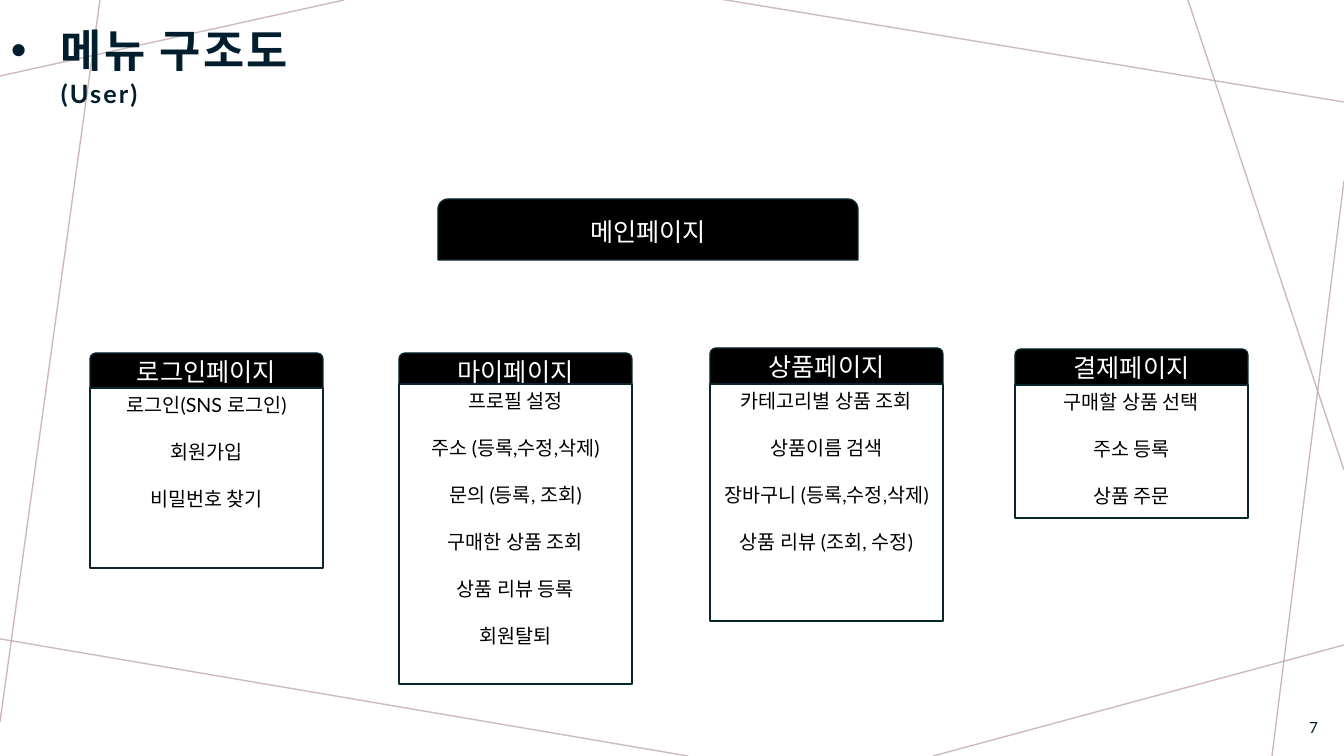
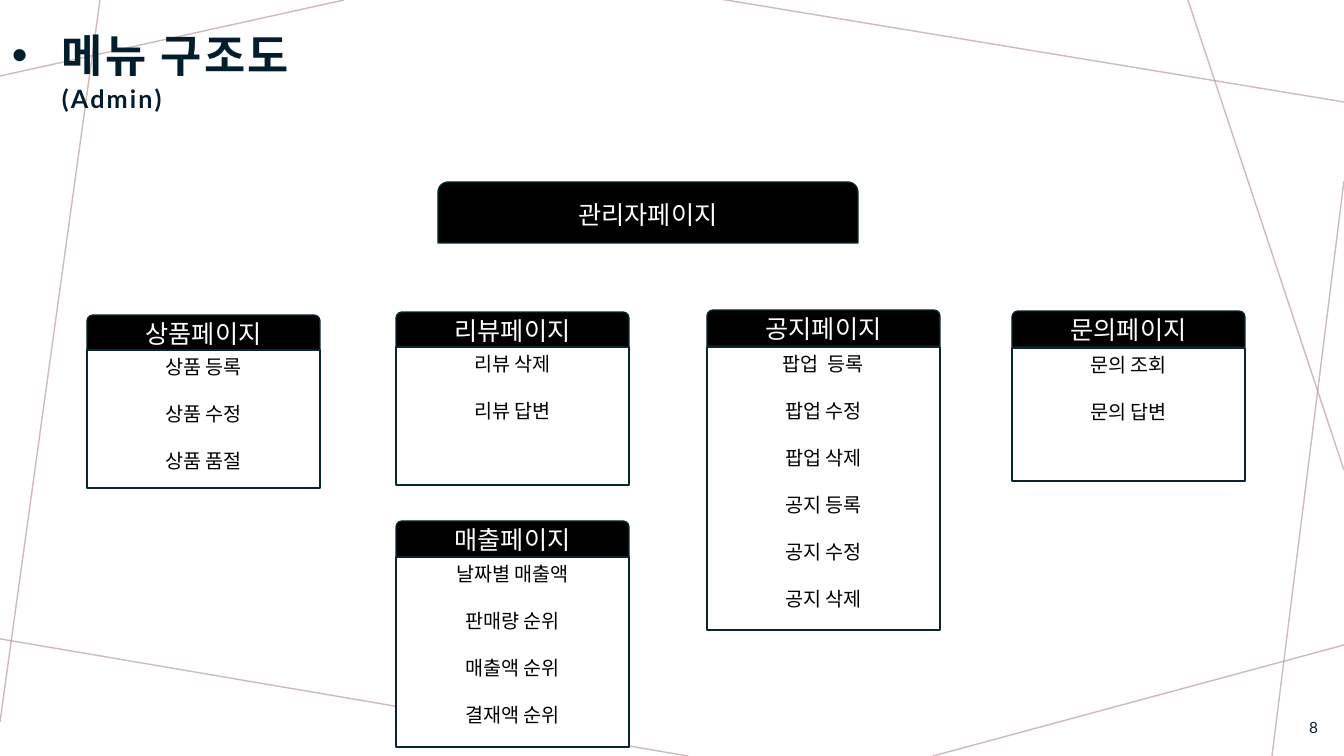
"""Build the two menu structure slides, one for users and one for administrators."""
from lxml import etree
from pptx import Presentation
from pptx.dml.color import RGBColor
from pptx.enum.shapes import MSO_CONNECTOR, MSO_SHAPE
from pptx.enum.text import MSO_ANCHOR, PP_ALIGN
from pptx.oxml.ns import qn
from pptx.util import Pt

SLIDE_WIDTH, SLIDE_HEIGHT = 1344, 756
EMU_PER_PX = 12192000 / SLIDE_WIDTH

NAVY = RGBColor(0x00, 0x1E, 0x2E)
OUTLINE = RGBColor(0x09, 0x26, 0x2D)
MAUVE = RGBColor(0xBA, 0x9C, 0xA0)
BLACK = RGBColor(0x00, 0x00, 0x00)
WHITE = RGBColor(0xFF, 0xFF, 0xFF)
FONT = "Lato"

TAB = MSO_SHAPE.ROUND_2_SAME_RECTANGLE
RECTANGLE = MSO_SHAPE.RECTANGLE
STRAIGHT = MSO_CONNECTOR.STRAIGHT
MIDDLE, TOP = MSO_ANCHOR.MIDDLE, MSO_ANCHOR.TOP
CENTER, RIGHT = PP_ALIGN.CENTER, PP_ALIGN.RIGHT

COLUMNS = (90, 399, 710, 1015)
PANEL_WIDTH, HEADER_HEIGHT = 233, 36
MAIN_LEFT, MAIN_WIDTH, MAIN_HEIGHT = 438, 420, 61
PAGE_NUMBER_BOX = (1279, 706, 51, 40)
TITLE_INDENT = 50
BACKGROUND_LINES = (
    (344, 0, 0, 76),
    (100, 0, 0, 722),
    (688, 756, -5, 638),
    (1344, 645, 933, 756),
    (1344, 181, 1272, 756),
    (1344, 470, 1188, 0),
    (1344, 102, 720, -1),
)

# Each panel: column, header top, body top, body height, heading, items.
SLIDES = (
    {
        "title": ("메뉴 구조도", "(User)"),
        "title_box": (-1, 20, 414, 87),
        "number": 7,
        "main": ("메인페이지", 199),
        "shift": 0,
        "panels": (
            (0, 353, 388, 180, "로그인페이지",
             ("로그인(SNS 로그인)", "회원가입", "비밀번호 찾기")),
            (1, 353, 384, 300, "마이페이지",
             ("프로필 설정", "주소 (등록,수정,삭제)", "문의 (등록, 조회)",
              "구매한 상품 조회", "상품 리뷰 등록", "회원탈퇴")),
            (2, 348, 384, 237, "상품페이지",
             ("카테고리별 상품 조회", "상품이름 검색",
              "장바구니 (등록,수정,삭제)", "상품 리뷰 (조회, 수정)")),
            (3, 349, 385, 133, "결제페이지",
             ("구매할 상품 선택", "주소 등록", "상품 주문")),
        ),
    },
    {
        "title": ("메뉴 구조도", "(Admin)"),
        "title_box": (0, 23, 415, 90),
        "number": 8,
        "main": ("관리자페이지", 182),
        "shift": -3,
        "panels": (
            (0, 315, 350, 138, "상품페이지",
             ("상품 등록", "상품 수정", "상품 품절")),
            (1, 312, 347, 138, "리뷰페이지",
             ("리뷰 삭제", "리뷰 답변")),
            (2, 310, 347, 283, "공지페이지",
             ("팝업  등록", "팝업 수정", "팝업 삭제",
              "공지 등록", "공지 수정", "공지 삭제")),
            (3, 311, 348, 133, "문의페이지",
             ("문의 조회", "문의 답변")),
            (1, 521, 557, 190, "매출페이지",
             ("날짜별 매출액", "판매량 순위", "매출액 순위", "결재액 순위")),
        ),
    },
)


def px(length):
    """Turn a length in px into EMU."""
    return round(length * EMU_PER_PX)


def style_run(run, size, color, bold=False):
    """Set the font of one run."""
    run.font.name = FONT
    run.font.size = Pt(size)
    run.font.bold = bold
    run.font.color.rgb = color


def add_background(slide):
    """Draw the crossing thin lines behind the content."""
    for ends in BACKGROUND_LINES:
        connector = slide.shapes.add_connector(STRAIGHT, *map(px, ends))
        connector.line.color.rgb = MAUVE
        connector.line.width = Pt(1)
        properties = connector._element.spPr
        color = properties.find(".//" + qn("a:srgbClr"))
        etree.SubElement(color, qn("a:alpha"), val="70000")
        etree.SubElement(properties, qn("a:effectLst"))


def add_text_box(slide, box):
    """Add a wrapping, vertically centred text box and return its frame."""
    frame = slide.shapes.add_textbox(*map(px, box)).text_frame
    frame.word_wrap = True
    frame.vertical_anchor = MIDDLE
    frame.margin_left = frame.margin_right = frame.margin_top = px(12)
    frame.margin_bottom = px(10)
    return frame


def add_title(slide, lines, box):
    """Write the bulleted title with its smaller second line."""
    paragraph = add_text_box(slide, box).paragraphs[0]
    paragraph.text = "\v".join(lines)
    properties = paragraph._p.get_or_add_pPr()
    properties.set("marL", str(px(TITLE_INDENT)))
    properties.set("indent", str(-px(TITLE_INDENT)))
    etree.SubElement(properties, qn("a:buFont"), typeface="Arial")
    etree.SubElement(properties, qn("a:buChar"), char="•")
    paragraph.line_spacing = 1.05
    for run, size in zip(paragraph.runs, (32, 18)):
        style_run(run, size, NAVY, bold=True)
        run._r.get_or_add_rPr().set("spc", "150")


def add_page_number(slide, number):
    """Write the page number in the lower right corner."""
    paragraph = add_text_box(slide, PAGE_NUMBER_BOX).paragraphs[0]
    paragraph.text = str(number)
    paragraph.alignment = RIGHT
    style_run(paragraph.runs[0], 11, NAVY)


def add_box(slide, kind, box, lines, fill, color, size, anchor):
    """Add an outlined shape with one centred paragraph per line."""
    shape = slide.shapes.add_shape(kind, *map(px, box))
    shape.shadow.inherit = False
    shape.fill.solid()
    shape.fill.fore_color.rgb = fill
    shape.line.color.rgb = OUTLINE
    shape.line.width = Pt(1)
    frame = shape.text_frame
    frame.word_wrap = True
    frame.vertical_anchor = anchor
    frame.text = "\n".join(lines)
    for index, paragraph in enumerate(frame.paragraphs):
        paragraph.alignment = CENTER
        if index:
            paragraph.space_before = Pt(16.8)
        style_run(paragraph.runs[0], size, color)


def add_header(slide, box, heading):
    """Add a black tab with a white heading."""
    add_box(slide, TAB, box, [heading], BLACK, WHITE, 18, MIDDLE)


def build_slide(presentation, content):
    """Build one menu structure slide."""
    slide = presentation.slides.add_slide(presentation.slide_layouts[6])
    add_background(slide)
    add_title(slide, content["title"], content["title_box"])
    heading, top = content["main"]
    add_header(slide, (MAIN_LEFT, top, MAIN_WIDTH, MAIN_HEIGHT), heading)
    for column, header_top, body_top, height, heading, items in content["panels"]:
        left = COLUMNS[column] + content["shift"]
        add_header(slide, (left, header_top, PANEL_WIDTH, HEADER_HEIGHT), heading)
        add_box(slide, RECTANGLE, (left, body_top, PANEL_WIDTH, height),
                items, WHITE, BLACK, 14, TOP)
    add_page_number(slide, content["number"])


def main():
    """Build and save the presentation."""
    presentation = Presentation()
    presentation.slide_width = px(SLIDE_WIDTH)
    presentation.slide_height = px(SLIDE_HEIGHT)
    for content in SLIDES:
        build_slide(presentation, content)
    presentation.save("out.pptx")


if __name__ == "__main__":
    main()
